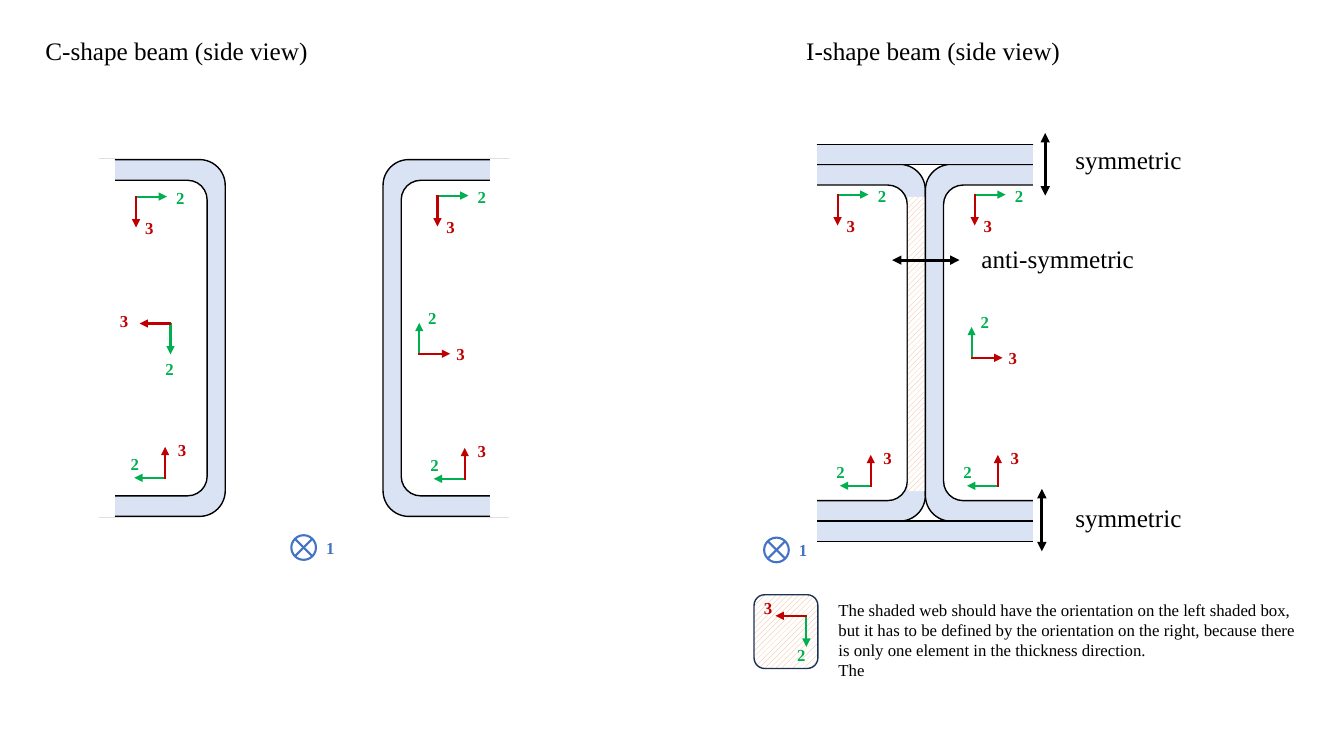
from dataclasses import dataclass

from lxml import etree
from pptx import Presentation
from pptx.dml.color import RGBColor
from pptx.enum import dml, shapes, text
from pptx.oxml import ns
from pptx.util import Pt

FONT = "Times New Roman"
BLACK = RGBColor(0x00, 0x00, 0x00)
WHITE = RGBColor(0xFF, 0xFF, 0xFF)
STEEL = RGBColor(0xDA, 0xE3, 0xF3)
BLUE = RGBColor(0x44, 0x72, 0xC4)
GREEN = RGBColor(0x00, 0xB0, 0x50)
RED = RGBColor(0xC0, 0x00, 0x00)
ORANGE = RGBColor(0xF4, 0xB1, 0x83)
NAVY = RGBColor(0x1E, 0x32, 0x56)

Point = tuple[float, float]
Kind = shapes.MSO_SHAPE
ARROW_LENGTH = 22.7
OVERLAP = 0.6


@dataclass(frozen=True)
class Orientation:
    two: Point
    three: Point
    two_label: Point
    three_label: Point


@dataclass(frozen=True)
class Axes:
    orientation: Orientation
    x: float
    y: float


@dataclass(frozen=True)
class Label:
    words: str
    x: float
    y: float
    width: float


@dataclass(frozen=True)
class Symmetry:
    start: Point
    end: Point
    label: Label


TOP_FLANGE = Orientation((1, 0), (0, 1), (21.6, -10.1), (-0.7, 11.5))
BOTTOM_FLANGE = Orientation((-1, 0), (0, -1), (-31.7, -20.9), (2, -31))
RIGHT_WEB = Orientation((0, -1), (1, 0), (-0.7, -36.7), (19.4, -10.8))
LEFT_WEB = Orientation((0, 1), (-1, 0), (-10.8, 21.6), (-43.2, -13))
SHADED_WEB = Orientation((0, 1), (-1, 0), (-13.7, 17.3), (-37.4, -16.6))

AXES = [
    Axes(RIGHT_WEB, 694, 255.6),
    Axes(TOP_FLANGE, 696.2, 139),
    Axes(BOTTOM_FLANGE, 712.8, 347),
    Axes(TOP_FLANGE, 598.3, 139),
    Axes(BOTTOM_FLANGE, 622, 347),
    Axes(SHADED_WEB, 576, 439.9),
    Axes(TOP_FLANGE, 312.5, 139.7),
    Axes(RIGHT_WEB, 299.5, 252.7),
    Axes(BOTTOM_FLANGE, 332, 342),
    Axes(TOP_FLANGE, 97.2, 140.4),
    Axes(BOTTOM_FLANGE, 118, 341.3),
    Axes(LEFT_WEB, 121.8, 231.1),
]

SYMMETRIES = [
    Symmetry((746.6, 95), (746.6, 139.7), Label("symmetric", 761, 99.4, 91.4)),
    Symmetry((744.2, 349.2), (744.2, 393.8), Label("symmetric", 761, 355, 91.4)),
    Symmetry((637.2, 185.8), (685.4, 185.8), Label("anti-symmetric", 694, 170.6, 124.6)),
]

NOTE = [
    "The shaded web should have the orientation on the left shaded box, but it has to be "
    "defined by the orientation on the right, because there is only one element in the "
    "thickness direction.",
    "The",
]


def write(box, lines: list[str], size: float, color: RGBColor,
          bold: bool = False, wrap: bool = False) -> None:
    frame = box.text_frame
    frame.word_wrap = wrap
    frame.auto_size = text.MSO_AUTO_SIZE.SHAPE_TO_FIT_TEXT
    frame.vertical_anchor = text.MSO_ANCHOR.TOP
    for index, line in enumerate(lines):
        para = frame.add_paragraph() if index else frame.paragraphs[0]
        para.alignment = text.PP_ALIGN.LEFT
        span = para.add_run()
        span.text = line
        span.font.name = FONT
        span.font.size = Pt(size)
        span.font.bold = bold
        span.font.color.rgb = color


def add_heading(page, label: Label) -> None:
    box = page.shapes.add_textbox(Pt(label.x), Pt(label.y), Pt(label.width), Pt(29))
    write(box, [label.words], 18, BLACK)


def add_number(page, words: str, x: float, y: float, color: RGBColor) -> None:
    box = page.shapes.add_textbox(Pt(x), Pt(y), Pt(20.9), Pt(21.8))
    write(box, [words], 12, color, bold=True)


def add_block(page, kind: Kind, x: float, y: float, width: float, height: float,
              fill: RGBColor | None, line: RGBColor | None, weight: float = 1):
    block = page.shapes.add_shape(kind, Pt(x), Pt(y), Pt(width), Pt(height))
    block.shadow.inherit = False
    if fill is None:
        block.fill.background()
    else:
        block.fill.solid()
        block.fill.fore_color.rgb = fill
    if line is None:
        block.line.fill.background()
    else:
        block.line.color.rgb = line
        block.line.width = Pt(weight)
    return block


def hatch(block) -> None:
    block.fill.patterned()
    block.fill.pattern = dml.MSO_PATTERN.WIDE_UPWARD_DIAGONAL
    block.fill.fore_color.rgb = ORANGE
    block.fill.back_color.rgb = WHITE


def add_arrow(page, start: Point, end: Point, color: RGBColor,
              weight: float = 1.5, double: bool = False) -> None:
    arrow = page.shapes.add_connector(
        shapes.MSO_CONNECTOR.STRAIGHT, *(Pt(value) for value in (*start, *end)))
    arrow.line.color.rgb = color
    arrow.line.width = Pt(weight)
    outline = arrow.line._get_or_add_ln()
    for tag in (["a:headEnd"] if double else []) + ["a:tailEnd"]:
        etree.SubElement(outline, ns.qn(tag)).set("type", "triangle")
    etree.SubElement(arrow._element.spPr, ns.qn("a:effectLst"))


def add_axes(page, axes: Axes) -> None:
    way = axes.orientation
    for words, (dx, dy), (label_x, label_y), color in (
        ("2", way.two, way.two_label, GREEN),
        ("3", way.three, way.three_label, RED),
    ):
        start = axes.x - dx * OVERLAP, axes.y - dy * OVERLAP
        end = start[0] + dx * ARROW_LENGTH, start[1] + dy * ARROW_LENGTH
        add_arrow(page, start, end, color)
        add_number(page, words, axes.x + label_x, axes.y + label_y, color)


def add_channel(page, x: float, y: float) -> None:
    for left, top, width, height, fill in (
        (x, y, 107.3, 254.9, STEEL),
        (x + 13, y + 14.8, 81.4, 225.4, WHITE),
    ):
        block = add_block(page, Kind.ROUNDED_RECTANGLE, left, top, width, height, fill, BLACK)
        block.adjustments[0] = 0.171


def add_cover(page, x: float, y: float, height: float) -> None:
    add_block(page, Kind.RECTANGLE, x, y, 33.8, height, WHITE, WHITE)


def add_axis_one(page, x: float, y: float) -> None:
    add_block(page, Kind.FLOWCHART_SUMMING_JUNCTION, x, y, 17.6, 17.6, None, BLUE, 1.5)
    add_number(page, "1", x + 17.8, y - 2, BLUE)


def main() -> None:
    deck = Presentation()
    deck.slide_width, deck.slide_height = Pt(960), Pt(540)
    page = deck.slides.add_slide(deck.slide_layouts[5])

    title = page.shapes.title
    title.left, title.top, title.width, title.height = Pt(25.2), Pt(21.6), Pt(203.8), Pt(29)
    write(title, ["C-shape beam (side view)"], 18, BLACK)
    add_heading(page, Label("I-shape beam (side view)", 568.8, 21.6, 203.8))

    for channel_x, cover_x in ((273.6, 350.6), (53.6, 48.2)):
        add_channel(page, channel_x, 114)
        add_cover(page, cover_x, 114, 254.9)

    for channel_x in (553.7, 661):
        add_channel(page, channel_x, 117.4)
    for flange_x, flange_y in ((568.8, 103), (566.6, 372.2)):
        add_block(page, Kind.RECTANGLE, flange_x, flange_y, 188.6, 14.6, STEEL, BLACK)
    for cover_x in (738.7, 549.4):
        add_cover(page, cover_x, 103, 284.4)

    web = add_block(page, Kind.RECTANGLE, 549.4, 239.8, 210.2, 11.8, None, None)
    web.rotation = 270
    hatch(web)
    hatch(add_block(page, Kind.ROUNDED_RECTANGLE, 538.6, 424.8, 45.6, 52.7, None, NAVY))

    for x, y in ((208.1, 382.3), (545.8, 384)):
        add_axis_one(page, x, y)
    for axes in AXES:
        add_axes(page, axes)
    for symmetry in SYMMETRIES:
        add_arrow(page, symmetry.start, symmetry.end, BLACK, 2.25, double=True)
        add_heading(page, symmetry.label)

    note = page.shapes.add_textbox(Pt(591.8), Pt(424.8), Pt(346.3), Pt(65.4))
    write(note, NOTE, 12, BLACK, wrap=True)
    deck.save("out.pptx")


if __name__ == "__main__":
    main()
